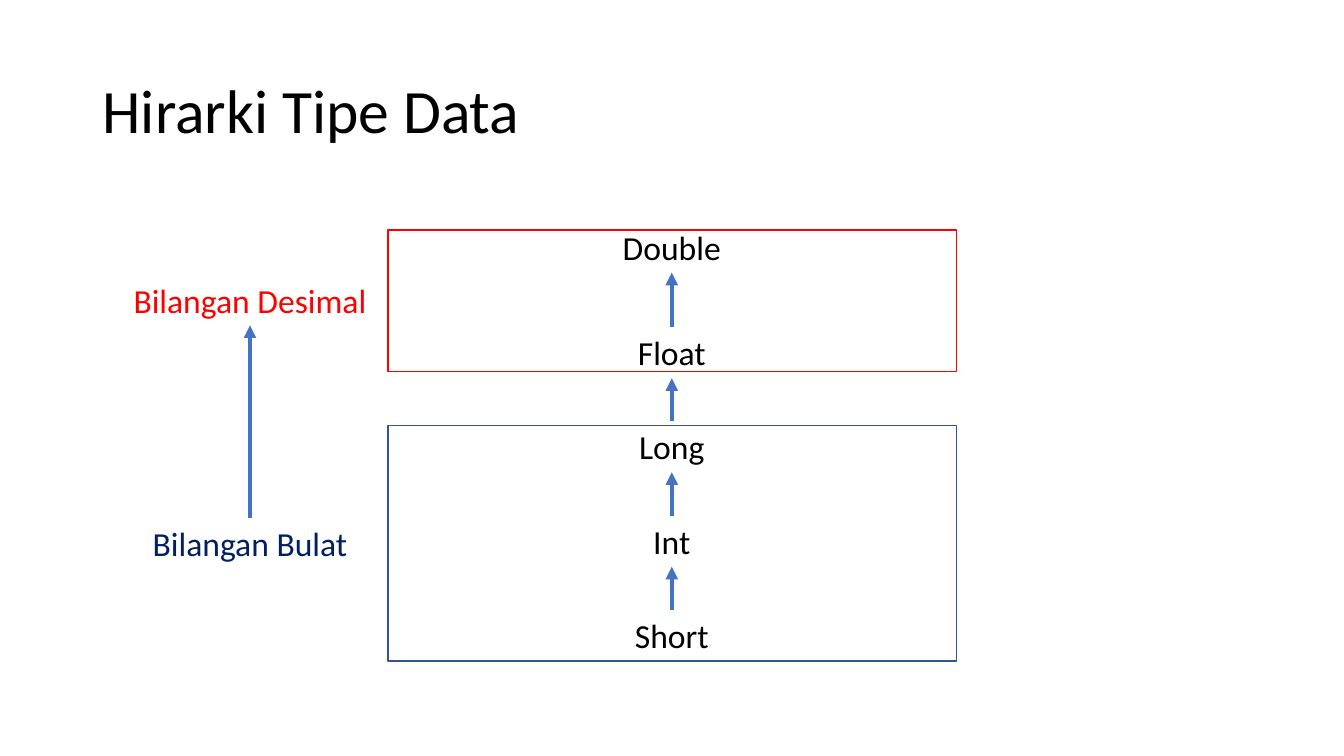
from pptx import Presentation
from pptx import util as u
from pptx.dml.color import RGBColor
from pptx.enum import shapes, text
from pptx.oxml.ns import qn
from lxml import etree

HIGH = 1.28  # label height, cm
MID = 16.93  # centre of the type column, cm
SIDE = 6.3   # centre of the group column, cm
rgb = RGBColor.from_string

deck = Presentation()
deck.slide_width, deck.slide_height = u.Cm(33.87), u.Cm(19.05)
slide = deck.slides.add_slide(deck.slide_layouts[5])


def write(shape, words, size, tint, align):
    frame = shape.text_frame
    frame.text = words
    frame.word_wrap = True
    para = frame.paragraphs[0]
    para.alignment = align
    font = para.runs[0].font
    for key, val in {"name": "Calibri", "size": u.Pt(size)}.items():
        setattr(font, key, val)
    font.color.rgb = rgb(tint)
    return frame


def chain(mid, items):
    """Stack labels from bottom to top and join each to the next by an arrow."""
    for words, top, wide, tint in items:
        label = slide.shapes.add_textbox(
            u.Cm(mid - wide / 2), u.Cm(top), u.Cm(wide), u.Cm(HIGH))
        write(label, words, 24, tint, text.PP_ALIGN.CENTER)
    for low, high in zip(items, items[1:]):
        arrow = slide.shapes.add_connector(
            shapes.MSO_CONNECTOR.STRAIGHT,
            u.Cm(mid), u.Cm(low[1]), u.Cm(mid), u.Cm(high[1] + HIGH))
        arrow.line.color.rgb = rgb("4472C4")
        arrow.line.width = u.Pt(3)
        etree.SubElement(arrow.line._get_or_add_ln(), qn("a:tailEnd"), type="triangle")
        etree.SubElement(arrow._element.spPr, qn("a:effectLst"))


title = slide.shapes.title
place = {"left": 2.33, "top": 1.01, "width": 29.21, "height": 3.68}
for key, val in place.items():
    setattr(title, key, u.Cm(val))
frame = write(title, "Hirarki Tipe Data", 44, "000000", text.PP_ALIGN.LEFT)
frame.auto_size = text.MSO_AUTO_SIZE.NONE
frame.vertical_anchor = text.MSO_ANCHOR.MIDDLE
frame.paragraphs[0].line_spacing = 0.9

chain(MID, [
    ("Short", 15.37, 2.4, "000000"),
    ("Int", 13, 2.4, "000000"),
    ("Long", 10.62, 2.4, "000000"),
    ("Float", 8.25, 2.4, "000000"),
    ("Double", 5.59, 3, "000000"),
])

for top, high, tint in [(5.8, 3.56, "FF0000"), (10.73, 5.93, "325491")]:
    box = slide.shapes.add_shape(
        shapes.MSO_SHAPE.RECTANGLE, u.Cm(9.78), u.Cm(top), u.Cm(14.33), u.Cm(high))
    box.shadow.inherit = False
    box.fill.background()
    box.line.color.rgb = rgb(tint)
    box.line.width = u.Pt(1)

chain(SIDE, [
    ("Bilangan Bulat", 13.06, 6.32, "002060"),
    ("Bilangan Desimal", 6.92, 6.93, "FF0000"),
])

deck.save("out.pptx")
